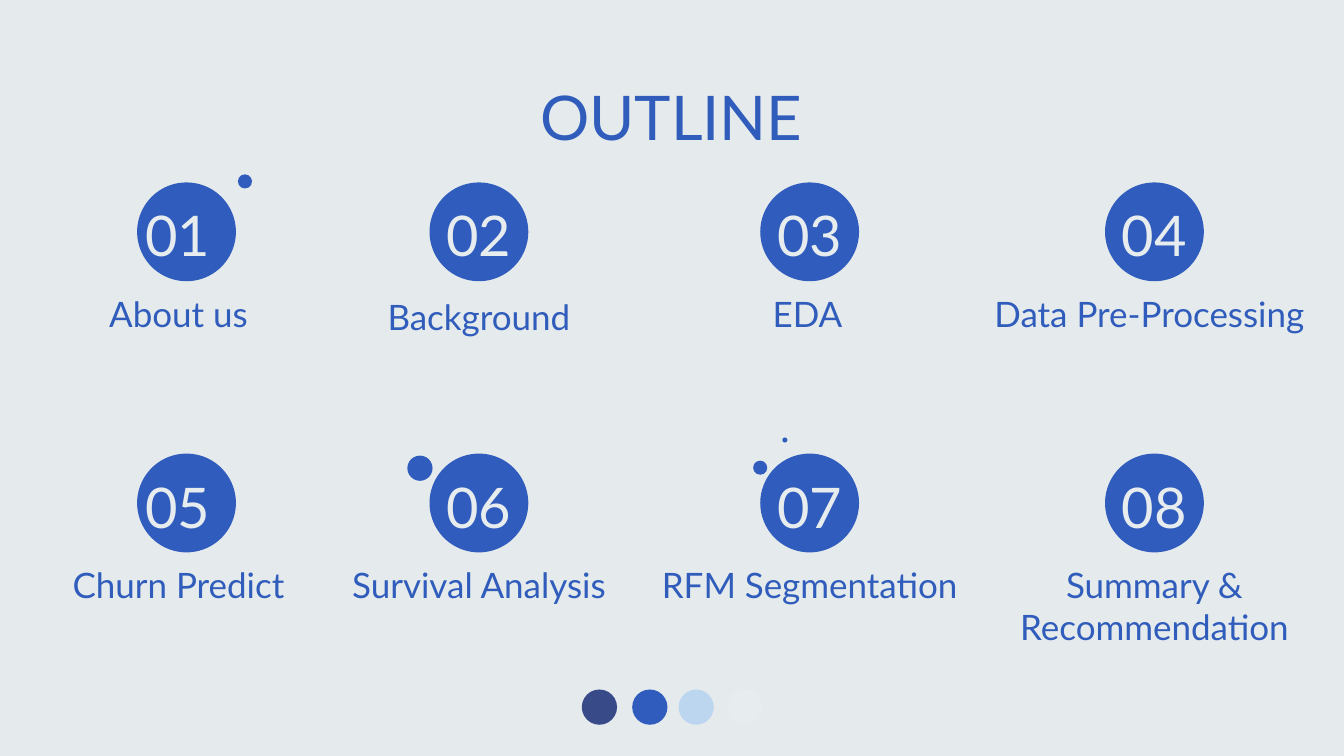
from pptx import Presentation
from pptx.dml.color import RGBColor
from pptx.enum.shapes import MSO_SHAPE
from pptx.enum.text import MSO_ANCHOR, PP_ALIGN

PX = 9144
OVAL = MSO_SHAPE.OVAL
NODE = MSO_SHAPE.FLOWCHART_CONNECTOR
TOP, BOTTOM = MSO_ANCHOR.TOP, MSO_ANCHOR.BOTTOM
CENTER = PP_ALIGN.CENTER

PALE = RGBColor(0xE5, 0xEB, 0xED)
WHITE = RGBColor(0xE7, 0xEC, 0xEE)
BLUE = RGBColor(0x30, 0x5C, 0xBD)
INK = RGBColor(0x30, 0x5C, 0xBB)
NAVY = RGBColor(0x39, 0x4A, 0x89)
SKY = RGBColor(0xBB, 0xD6, 0xEE)

FONT = "Lato"
INSET = 13
DISC = 98
LABEL = 353

COLUMNS = (136, 426, 754, 1096)
ROWS = (181, 450)
TOPICS = (
    ("About us", -8, 0),
    ("Background", 0, 3),
    ("EDA", -2, 0),
    ("Data Pre-Processing", -5, 0),
    ("Churn Predict", -8, 0),
    ("Survival Analysis", 0, 0),
    ("RFM Segmentation", 0, 0),
    ("Summary & Recommendation", 0, 0),
)
DOTS = ((236, 173, 14), (747, 457, 14), (776, 434, 5), (404, 452, 25))
SWATCHES = ((0, NAVY), (50, BLUE), (96, SKY), (144, WHITE))


def add_disc(slide, x, y, size, color, kind=OVAL):
    disc = slide.shapes.add_shape(kind, x * PX, y * PX, size * PX, size * PX)
    disc.shadow.inherit = False
    disc.fill.solid()
    disc.fill.fore_color.rgb = color
    disc.line.fill.background()


def add_text(slide, x, y, width, height, text, size, color, anchor=TOP):
    box = slide.shapes.add_textbox(
        round(x * PX), y * PX, width * PX, height * PX)
    frame = box.text_frame
    frame.word_wrap = True
    frame.vertical_anchor = anchor
    frame.margin_left = frame.margin_right = INSET * PX
    frame.margin_top = frame.margin_bottom = INSET * PX
    para = frame.paragraphs[0]
    para.text = text
    para.alignment = CENTER
    para.font.name = FONT
    para.font.size = size * 12700
    para.font.color.rgb = color


def add_topic(slide, x, y, number, topic):
    text, shift, drop = topic
    add_disc(slide, x, y, DISC, BLUE)
    nudge = -9 if x == COLUMNS[0] else 0
    add_text(slide, x + nudge, y, DISC, DISC, f"{number:02}", 40, WHITE, BOTTOM)
    left = x + (DISC - LABEL) / 2 + shift
    add_text(slide, left, y + 96 + drop, LABEL, 61, text, 25, INK)


def add_grid(slide):
    for index, topic in enumerate(TOPICS):
        row, column = divmod(index, len(COLUMNS))
        add_topic(slide, COLUMNS[column], ROWS[row], index + 1, topic)


def add_dots(slide):
    for x, y, size in DOTS:
        add_disc(slide, x, y, size, BLUE)


def add_swatches(slide, x, y):
    for shift, color in SWATCHES:
        add_disc(slide, x + shift, y, 35, color, NODE)


def main():
    deck = Presentation()
    deck.slide_width = 1333 * PX
    deck.slide_height = 750 * PX
    slide = deck.slides.add_slide(deck.slide_layouts[6])
    slide.background.fill.solid()
    slide.background.fill.fore_color.rgb = PALE
    add_text(slide, 45, 65, 1242, 83, "OUTLINE", 44, INK)
    add_grid(slide)
    add_dots(slide)
    add_swatches(slide, 577, 684)
    deck.save("out.pptx")


if __name__ == "__main__":
    main()
